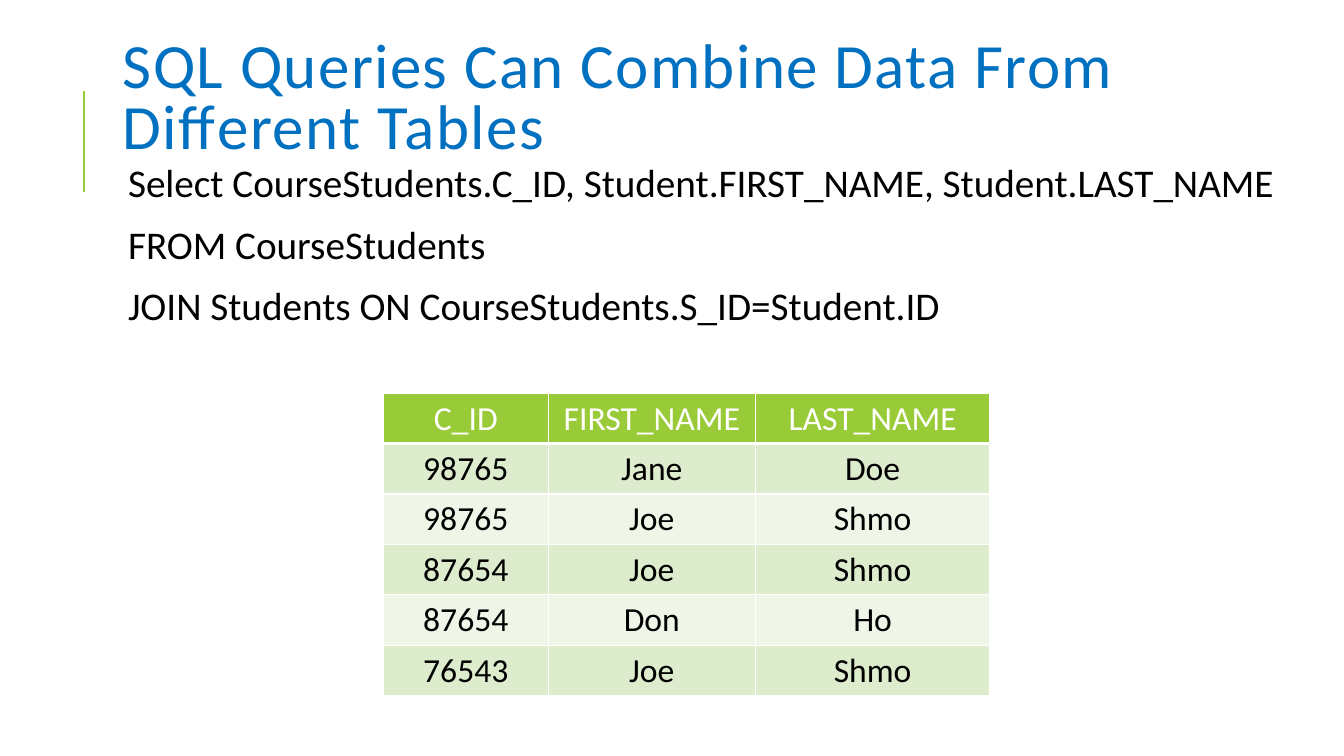
from dataclasses import dataclass

import pptx
import pptx.dml.color
import pptx.enum.shapes
import pptx.enum.text
import pptx.oxml
import pptx.oxml.ns
import pptx.util
from lxml import etree

PX = 9144
GREEN, BLUE, BLACK, WHITE = "99CB38", "0070C0", "000000", "FFFFFF"
BANDS = ("DEECCE", "EFF6E8")
COLUMN_WIDTHS = (164, 205, 233)
ROW_HEIGHT = 50
ROWS = (
    ("C_ID", "FIRST_NAME", "LAST_NAME"),
    ("98765", "Jane", "Doe"),
    ("98765", "Joe", "Shmo"),
    ("87654", "Joe", "Shmo"),
    ("87654", "Don", "Ho"),
    ("76543", "Joe", "Shmo"),
)


@dataclass
class TextBlock:
    left: int
    top: int
    width: int
    height: int
    lines: tuple[str, ...]
    size: int
    color: str
    frame: dict
    paragraph: dict
    indent: int = 0
    tracking: int = 0


def px(n: int) -> pptx.util.Emu:
    return pptx.util.Emu(n * PX)


def rgb(value: str) -> pptx.dml.color.RGBColor:
    return pptx.dml.color.RGBColor.from_string(value)


def apply(target, values: dict) -> None:
    for name, value in values.items():
        setattr(target, name, value)


def add_run(p, text: str, size: int, color: str):
    r = p.add_run()
    r.text = text
    apply(r.font, {"name": "Calibri", "size": pptx.util.Pt(size), "bold": False})
    r.font.color.rgb = rgb(color)
    return r


def add_text(s, block: TextBlock) -> None:
    sp = s.shapes.add_textbox(px(block.left), px(block.top), px(block.width), px(block.height))
    tf = sp.text_frame
    apply(tf, {"word_wrap": True, **block.frame})
    for i, line in enumerate(block.lines):
        p = tf.paragraphs[0] if i == 0 else tf.add_paragraph()
        apply(p, block.paragraph)
        if block.indent:
            p._p.get_or_add_pPr().set("marL", str(px(block.indent)))
        r = add_run(p, line, block.size, block.color)
        if block.tracking:
            r._r.get_or_add_rPr().set("spc", str(block.tracking))


def add_accent_line(s) -> None:
    line = s.shapes.add_connector(
        pptx.enum.shapes.MSO_CONNECTOR.STRAIGHT, px(83), px(190), px(83), px(90))
    line.line.color.rgb = rgb(GREEN)
    line.line.width = pptx.util.Pt(1.5)
    etree.SubElement(line._element.spPr, pptx.oxml.ns.qn("a:effectLst"))


def add_borders(cell, widths: dict[str, int]) -> None:
    tc_pr = cell._tc.get_or_add_tcPr()
    for side, width in widths.items():
        tc_pr.append(pptx.oxml.parse_xml(
            f'<a:ln{side} {pptx.oxml.ns.nsdecls("a")} w="{pptx.util.Pt(width)}">'
            f'<a:solidFill><a:srgbClr val="{WHITE}"/></a:solidFill></a:ln{side}>'))


def add_result_table(s) -> None:
    table = s.shapes.add_table(
        len(ROWS), len(COLUMN_WIDTHS), px(380), px(390),
        px(sum(COLUMN_WIDTHS)), px(ROW_HEIGHT * len(ROWS))).table
    table.horz_banding = False
    for column, width in zip(table.columns, COLUMN_WIDTHS):
        column.width = px(width)
    for i, values in enumerate(ROWS):
        header = i == 0
        for j, value in enumerate(values):
            cell = table.cell(i, j)
            add_borders(cell, {"L": 1, "R": 1, "T": 3 if i == 1 else 1, "B": 3 if header else 1})
            cell.fill.solid()
            cell.fill.fore_color.rgb = rgb(GREEN if header else BANDS[(i - 1) % 2])
            p = cell.text_frame.paragraphs[0]
            p.alignment = pptx.enum.text.PP_ALIGN.CENTER
            add_run(p, value, 24, WHITE if header else BLACK)


def main() -> None:
    prs = pptx.Presentation()
    apply(prs, {"slide_width": px(1333), "slide_height": px(750)})
    s = prs.slides.add_slide(prs.slide_layouts[6])
    add_accent_line(s)
    title = TextBlock(
        112, 64, 1097, 72, ("SQL Queries Can Combine Data From Different Tables",), 45, BLUE,
        {"vertical_anchor": pptx.enum.text.MSO_ANCHOR.MIDDLE},
        {"line_spacing": 0.8}, tracking=100)
    margins = ("margin_left", "margin_top", "margin_right", "margin_bottom")
    query = TextBlock(
        112, 157, 1160, 533,
        ("Select CourseStudents.C_ID, Student.FIRST_NAME, Student.LAST_NAME",
         "FROM CourseStudents",
         "JOIN Students ON CourseStudents.S_ID=Student.ID"),
        28, BLACK, dict.fromkeys(margins, px(5)),
        {"line_spacing": 0.9, "space_before": pptx.util.Pt(12), "space_after": pptx.util.Pt(2)},
        indent=10)
    for block in (title, query):
        add_text(s, block)
    add_result_table(s)
    prs.save("out.pptx")


if __name__ == "__main__":
    main()
